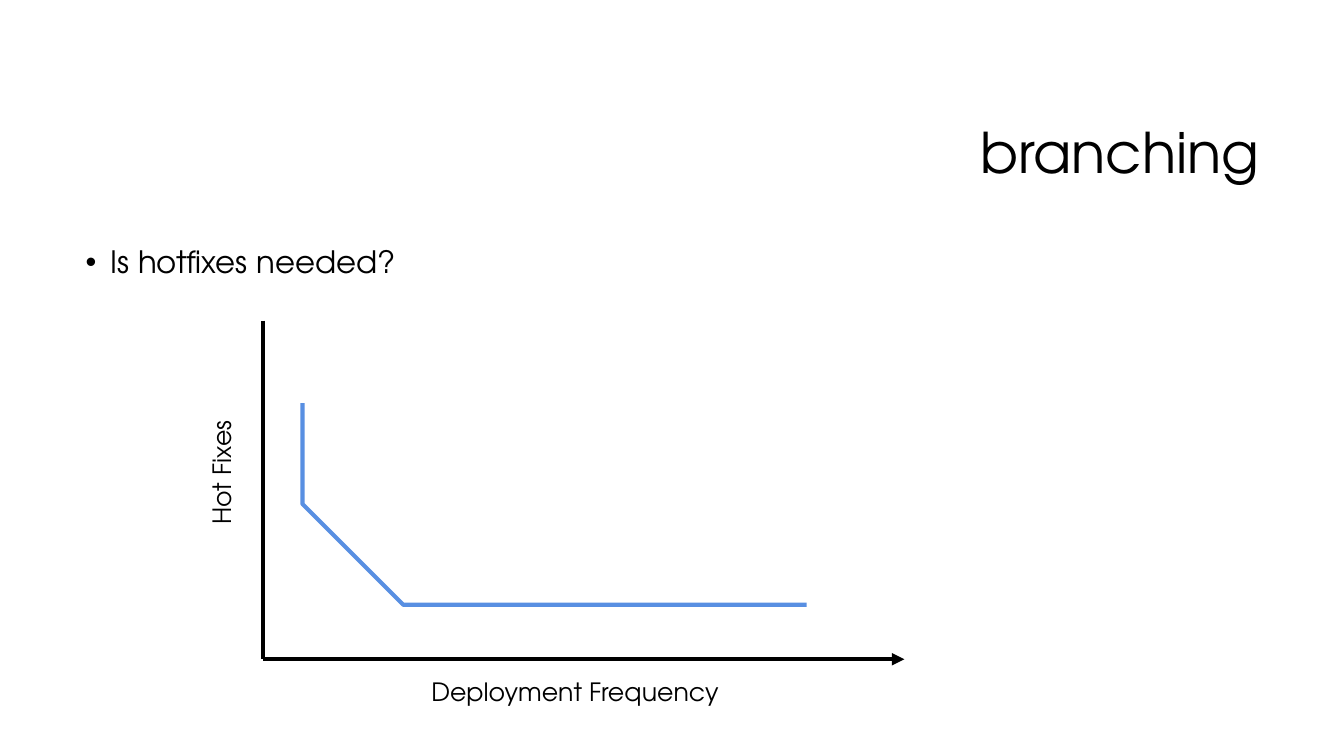
from dataclasses import dataclass

from lxml import etree
from pptx import Presentation
from pptx.dml.color import RGBColor
from pptx.enum import shapes, text
from pptx.oxml.ns import qn
from pptx.util import Inches, Pt


@dataclass(frozen=True)
class Theme:
    face: str = "TeX Gyre Adventor"
    ink: RGBColor = RGBColor(0, 0, 0)
    blue: RGBColor = RGBColor(0x58, 0x8F, 0xE2)
    head: Pt = Pt(40)
    body: Pt = Pt(22)
    label: Pt = Pt(18)
    line: Pt = Pt(3)


theme = Theme()


def write(shape, words, size):
    """Put one styled paragraph in the shape and return it."""
    frame = shape.text_frame
    frame.text = words
    frame.word_wrap = True
    frame.auto_size = text.MSO_AUTO_SIZE.NONE
    para = frame.paragraphs[0]
    para.font.name = theme.face
    para.font.size = size
    para.font.color.rgb = theme.ink
    return para


def bezier(a, b, c, d, t):
    """Return the point at t on a cubic curve."""
    s = 1 - t
    return tuple(
        s**3 * p + 3 * s * s * t * q + 3 * s * t * t * r + t**3 * e
        for p, q, r, e in zip(a, b, c, d)
    )


deck = Presentation()
deck.slide_width, deck.slide_height = Inches(13.33), Inches(7.5)
slide = deck.slides.add_slide(deck.slide_layouts[5])
items = slide.shapes

# Title
title = items.title
title.left, title.top = Inches(3.17), Inches(0.84)
title.width, title.height = Inches(9.42), Inches(1.41)
para = write(title, "branching", theme.head)
para.alignment = text.PP_ALIGN.RIGHT
para.line_spacing = 0.9
title.text_frame.vertical_anchor = text.MSO_ANCHOR.MIDDLE

# Bullet
body = items.add_textbox(Inches(0.75), Inches(2.4), Inches(11.83), Inches(4.4))
para = write(body, "Is hotfixes needed?", theme.body)
para.line_spacing = 0.9
para.space_before = Pt(10)
props = para._p.get_or_add_pPr()
props.set("marL", str(Inches(0.25)))
props.set("indent", str(Inches(-0.25)))
etree.SubElement(props, qn("a:buFont")).set("typeface", "Arial")
etree.SubElement(props, qn("a:buChar")).set("char", "•")

# Axes
left, base = 2.61, 6.54
for x1, y1, x2, y2 in ((left, 3.18, left, base), (left, base, 8.97, base)):
    axis = items.add_connector(
        shapes.MSO_CONNECTOR.STRAIGHT, Inches(x1), Inches(y1), Inches(x2), Inches(y2)
    )
    axis.line.color.rgb = theme.ink
    axis.line.width = theme.line
    etree.SubElement(axis._element.spPr, qn("a:effectLst"))
etree.SubElement(axis.line._get_or_add_ln(), qn("a:tailEnd")).set("type", "triangle")

# Axis labels
for words, x, y, w, h, turn in (
    ("Hot Fixes", 2, 3.91, 0.5, 1.39, "vert270"),
    ("Deployment Frequency", 4.18, 6.66, 3.56, 0.4, "horz"),
):
    label = items.add_textbox(Inches(x), Inches(y), Inches(w), Inches(h))
    write(label, words, theme.label)
    label.text_frame._txBody.bodyPr.set("vert", turn)

# Falling curve
start, bend, end = (2.84, 3.56), (3.93, 5.8), (8.26, 6.3)
parts = (
    (start, (2.93, 4.45), (3.02, 5.34), bend),
    (bend, (4.83, 6.25), (6.55, 6.27), end),
)
steps = 30
points = [bezier(*part, n / steps) for part in parts for n in range(1, steps + 1)]
pen = items.build_freeform(*start, scale=Inches(1))
pen.add_line_segments(points, close=False)
curve = pen.convert_to_shape()
curve.shadow.inherit = False
curve.fill.background()
curve.line.color.rgb = theme.blue
curve.line.width = theme.line

deck.save("out.pptx")
